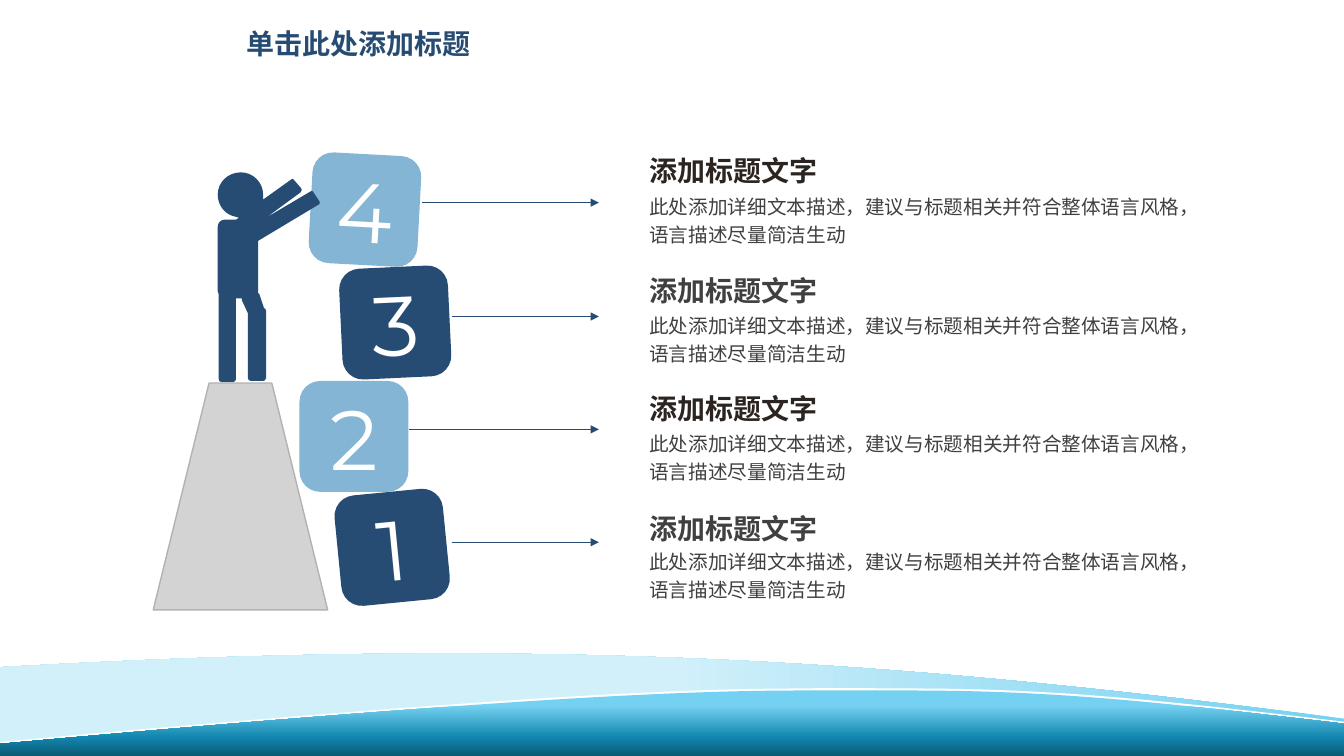
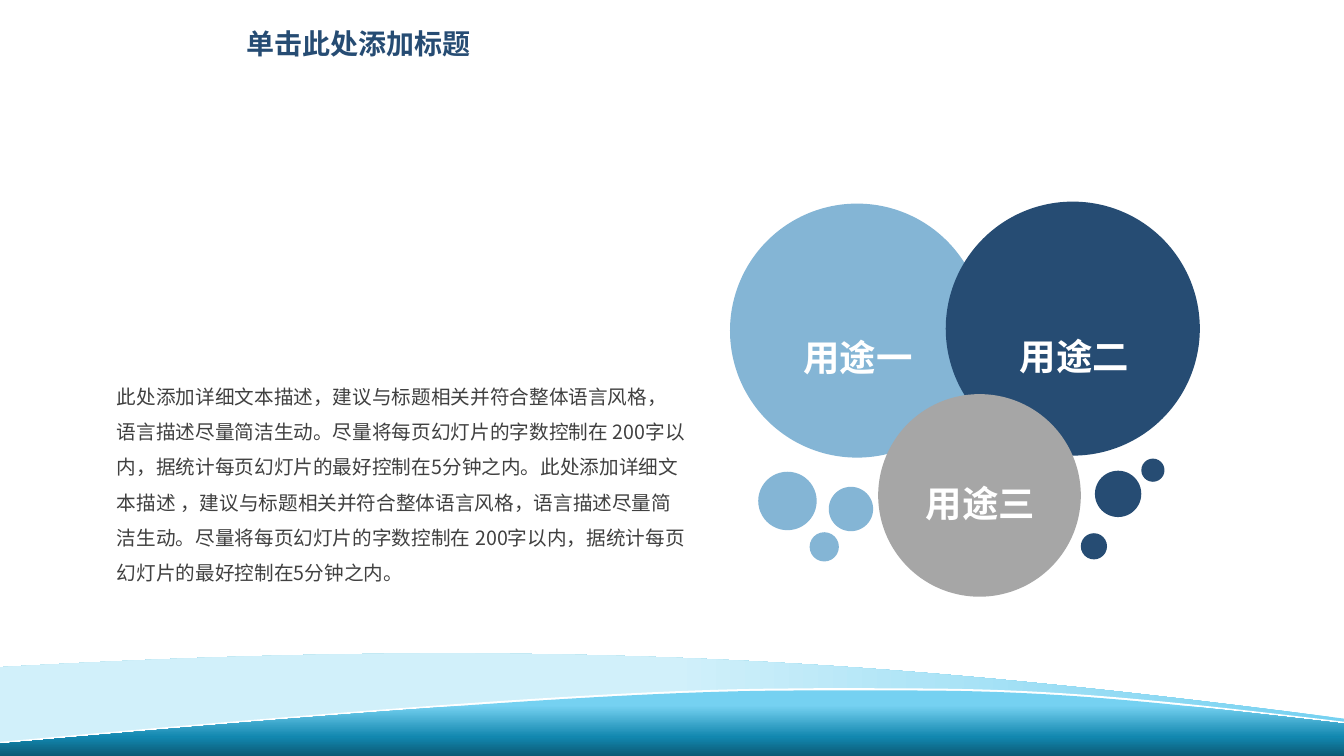
from dataclasses import dataclass

from lxml.etree import SubElement
from pptx import Presentation
from pptx.dml.color import RGBColor
from pptx.enum.shapes import MSO_CONNECTOR, MSO_SHAPE
from pptx.enum.text import MSO_ANCHOR, MSO_AUTO_SIZE, PP_ALIGN
from pptx.oxml.ns import qn
from pptx.util import Inches, Pt


@dataclass(frozen=True)
class Theme:
    navy: str = "264C73"
    sky: str = "84B5D5"
    grey: str = "A6A6A6"
    stand: str = "D3D3D3"
    stand_edge: str = "B2B2B2"
    white: str = "FFFFFF"
    ink: str = "2B2420"
    text: str = "404040"
    wave_pale: str = "D1F0FA"
    wave_light: str = "75D1F1"
    wave_mid: str = "1287AF"
    wave_deep: str = "0C5A75"
    title_font: str = "Arial"
    font: str = "Montserrat"
    cjk_font: str = "Noto Sans CJK SC"
    title_size: int = 20
    body_size: int = 14
    label_size: int = 26
    digit_size: int = 60


THEME = Theme()
WIDTH, HEIGHT = 13.33, 7.5

# Outlines: a start point, then lines (x, y) and curves (x1, y1, x2, y2, x, y)
WAVE_BACK = [(0, 6.62), (5.92, 6.28, 9.33, 6.62, WIDTH, 7.13),
             (WIDTH, 7.36, WIDTH, 7.09, WIDTH, 7.33),
             (8.72, 6.41, 4.83, 7.18, 0, 7.41), (0, 6.62)]
WAVE_EDGE = [(7.98, 6.83), (8.35, 6.82, 8.65, 6.83, 8.99, 6.83),
             (10.36, 6.83, 11.31, 6.92, WIDTH, 7.16), (WIDTH, 7.26),
             (11.31, 7.02, 10.36, 6.93, 8.99, 6.93),
             (8.65, 6.94, 8.35, 6.93, 7.98, 6.93),
             (6.88, 6.93, 5.19, 7, 0, 7.46), (0, 7.36),
             (5.19, 6.89, 6.88, 6.83, 7.98, 6.83)]
WAVE_FRONT = [(7.98, 6.85), (8.35, 6.85, 8.65, 6.85, 8.99, 6.85),
              (10.36, 6.85, 11.31, 6.94, WIDTH, 7.18), (WIDTH, HEIGHT),
              (0, HEIGHT), (0, 7.38), (5.19, 6.91, 6.88, 6.85, 7.98, 6.85)]
PERSON = [(2.39, 1.71), (2.51, 1.71, 2.61, 1.81, 2.61, 1.93),
          (2.61, 1.95, 2.61, 1.96, 2.61, 1.98),
          (2.89, 1.78), (2.9, 1.77, 2.91, 1.77, 2.92, 1.79), (2.99, 1.87),
          (3, 1.88, 2.99, 1.9, 2.98, 1.91), (2.64, 2.16), (3.08, 1.9),
          (3.09, 1.89, 3.11, 1.89, 3.11, 1.91), (3.17, 2),
          (3.18, 2.01, 3.17, 2.03, 3.16, 2.03), (2.56, 2.39), (2.56, 2.89),
          (2.56, 2.91), (2.57, 2.91), (2.62, 3.06), (2.63, 3.06),
          (2.63, 3.07, 2.64, 3.08, 2.64, 3.08),
          (2.64, 3.75), (2.64, 3.77, 2.62, 3.78, 2.61, 3.78), (2.49, 3.78),
          (2.47, 3.78, 2.46, 3.77, 2.46, 3.75), (2.46, 3.11), (2.4, 2.98),
          (2.4, 2.96), (2.34, 2.96), (2.34, 3.76),
          (2.34, 3.78, 2.33, 3.79, 2.31, 3.79), (2.2, 3.79),
          (2.18, 3.79, 2.17, 3.78, 2.17, 3.76), (2.17, 2.93), (2.17, 2.92),
          (2.16, 2.91, 2.16, 2.9, 2.16, 2.89), (2.16, 2.25),
          (2.16, 2.21, 2.19, 2.18, 2.23, 2.18), (2.34, 2.18), (2.37, 2.16),
          (2.3, 2.14), (2.22, 2.11, 2.16, 2.03, 2.16, 1.93),
          (2.16, 1.81, 2.26, 1.71, 2.39, 1.71)]

STEP_TEXT = "此处添加详细文本描述，建议与标题相关并符合整体语言风格，语言描述尽量简洁生动"
USE_TEXT = ("此处添加详细文本描述，建议与标题相关并符合整体语言风格，语言描述尽量简洁生动。"
            "尽量将每页幻灯片的字数控制在 200字以内，据统计每页幻灯片的最好控制在5分钟之内。"
            "此处添加详细文本描述 ，建议与标题相关并符合整体语言风格，语言描述尽量简洁生动。"
            "尽量将每页幻灯片的字数控制在 200字以内，据统计每页幻灯片的最好控制在5分钟之内。")


# Text
def write(frame, text, size, color, bold=False, font=THEME.font,
          align=PP_ALIGN.LEFT, spacing=1.0):
    para = frame.paragraphs[0]
    para.alignment = align
    para.line_spacing = spacing
    span = para.add_run()
    span.text = text
    span.font.size = Pt(size)
    span.font.bold = bold
    span.font.name = font
    span.font.color.rgb = RGBColor.from_string(color)
    SubElement(span._r.get_or_add_rPr(), qn("a:ea"), typeface=THEME.cjk_font)


def add_text(page, left, top, width, height, text, size, color,
             anchor=MSO_ANCHOR.TOP, **style):
    box = page.shapes.add_textbox(Inches(left), Inches(top),
                                  Inches(width), Inches(height))
    frame = box.text_frame
    frame.word_wrap = True
    frame.vertical_anchor = anchor
    frame.margin_left = frame.margin_right = 0
    frame.margin_top = frame.margin_bottom = 0
    write(frame, text, size, color, **style)


def add_title(page, text):
    title = page.shapes.title
    title.left, title.top = Inches(2.34), Inches(0.11)
    title.width, title.height = Inches(2.45), Inches(0.5)
    frame = title.text_frame
    frame.auto_size = MSO_AUTO_SIZE.NONE
    frame.word_wrap = False
    frame.vertical_anchor = MSO_ANCHOR.TOP
    write(frame, text, THEME.title_size, THEME.navy, bold=True,
          font=THEME.title_font, spacing=1.3)


# Shapes
def paint(shape, color, edge=None):
    shape.shadow.inherit = False
    shape.fill.solid()
    shape.fill.fore_color.rgb = RGBColor.from_string(color)
    if edge:
        shape.line.color.rgb = RGBColor.from_string(edge)
        shape.line.width = Pt(1)
    else:
        shape.line.fill.background()


def paint_gradient(shape, angle, stops):
    shape.fill.gradient()
    shape.fill.gradient_angle = angle
    stop_list = shape.element.spPr.find(qn("a:gradFill")).find(qn("a:gsLst"))
    stop_list.clear()
    for percent, color in stops:
        stop = SubElement(stop_list, qn("a:gs"), pos=str(percent * 1000))
        SubElement(stop, qn("a:srgbClr"), val=color)


def add_preset(page, kind, left, top, width, height, color, edge=None):
    shape = page.shapes.add_shape(kind, Inches(left), Inches(top),
                                  Inches(width), Inches(height))
    paint(shape, color, edge)
    return shape


def add_circle(page, left, top, size, color):
    add_preset(page, MSO_SHAPE.FLOWCHART_CONNECTOR, left, top, size, size, color)


def curve_points(start, curve, count=40):
    """Points along a cubic curve, without its start."""
    knots = [start, curve[:2], curve[2:4], curve[4:]]
    for i in range(1, count + 1):
        t = i / count
        weights = ((1 - t) ** 3, 3 * t * (1 - t) ** 2, 3 * t * t * (1 - t), t ** 3)
        yield tuple(sum(w * knot[axis] for w, knot in zip(weights, knots))
                    for axis in (0, 1))


def outline_bounds(outline):
    points = outline[:1]
    for step in outline[1:]:
        points.extend([step] if len(step) == 2 else curve_points(points[-1], step))
    xs, ys = zip(*points)
    return [Inches(edge) for edge in (min(xs), min(ys), max(xs), max(ys))]


def add_outline(page, outline, color):
    """Freeform spanning the outline's bounds, drawn with true curves."""
    left, top, right, bottom = outline_bounds(outline)
    builder = page.shapes.build_freeform(left, top, scale=1.0)
    builder.add_line_segments([(right, top), (right, bottom)])
    shape = builder.convert_to_shape()
    geometry = next(shape.element.spPr.iter(qn("a:path")))
    for segment in list(geometry):
        geometry.remove(segment)
    for index, step in enumerate(outline):
        tag = "a:moveTo" if index == 0 else "a:lnTo"
        segment = SubElement(geometry, qn(tag if len(step) == 2 else "a:cubicBezTo"))
        for x, y in zip(step[::2], step[1::2]):
            SubElement(segment, qn("a:pt"), x=str(Inches(x) - left),
                       y=str(Inches(y) - top))
    SubElement(geometry, qn("a:close"))
    paint(shape, color)
    return shape


def add_arrow(page, left, right, y):
    arrow = page.shapes.add_connector(MSO_CONNECTOR.STRAIGHT, Inches(left),
                                      Inches(y), Inches(right), Inches(y))
    arrow.line.color.rgb = RGBColor.from_string(THEME.navy)
    arrow.line.width = Pt(0.5)
    props = arrow.element.spPr
    SubElement(props.find(qn("a:ln")), qn("a:tailEnd"), type="triangle")
    SubElement(props, qn("a:effectLst"))


def add_block(page, digit, left, top, rotation, color):
    block = add_preset(page, MSO_SHAPE.ROUNDED_RECTANGLE, left, top, 1.08, 1.1, color)
    block.adjustments[0] = 0.19
    block.rotation = rotation
    block.text_frame.vertical_anchor = MSO_ANCHOR.MIDDLE
    write(block.text_frame, digit, THEME.digit_size, THEME.white,
          align=PP_ALIGN.CENTER)


def add_label(page, text, left, top, width, color, align):
    label = add_preset(page, MSO_SHAPE.RECTANGLE, left, top, width, 0.54, color)
    label.text_frame.word_wrap = True
    label.text_frame.vertical_anchor = MSO_ANCHOR.MIDDLE
    write(label.text_frame, text, THEME.label_size, THEME.white, bold=True,
          align=align)


# Waves shared through the slide master
def add_waves(deck, page):
    back = add_outline(page, WAVE_BACK, THEME.wave_pale)
    paint_gradient(back, 180, [(0, THEME.wave_light), (50, THEME.wave_pale),
                               (100, THEME.wave_pale)])
    edge = add_outline(page, WAVE_EDGE, THEME.white)
    front = add_outline(page, WAVE_FRONT, THEME.wave_mid)
    paint_gradient(front, 270, [(23, THEME.wave_light), (71, THEME.wave_mid),
                                (100, THEME.wave_deep)])
    master_tree = deck.slide_master.shapes.element
    for position, wave in enumerate((back, edge, front), start=2):
        master_tree.insert(position, wave.element)


# Slides
def build_steps(page):
    add_title(page, "单击此处添加标题")
    # Digit, block place and rotation, arrow start, heading and detail tops
    steps = [("4", 3.08, 1.53, 3.1, 4.19, 2.01, 1.39, 1.89),
             ("3", 3.38, 2.65, 357.3, 4.48, 3.14, 2.58, 3.07),
             ("2", 2.97, 3.78, 0, 4.06, 4.26, 3.75, 4.24),
             ("1", 3.35, 4.88, 354.4, 4.48, 5.38, 4.94, 5.41)]
    for row, step in enumerate(steps):
        digit, left, top, rotation, arrow_left, arrow_y, head_top, detail_top = step
        light = row % 2 == 0
        add_block(page, digit, left, top, rotation,
                  THEME.sky if light else THEME.navy)
        add_arrow(page, arrow_left, 5.94, arrow_y)
        add_text(page, 6.44, detail_top, 5.36, 0.6, STEP_TEXT,
                 THEME.body_size, THEME.text, spacing=1.2)
        add_text(page, 6.44, head_top, 3.51, 0.5, "添加标题文字",
                 THEME.title_size, THEME.ink if light else THEME.text,
                 anchor=MSO_ANCHOR.MIDDLE, bold=True, spacing=1.3)
    # Figure on its stand
    add_outline(page, PERSON, THEME.navy)
    stand = add_preset(page, MSO_SHAPE.TRAPEZOID, 1.52, 3.8, 1.73, 2.25,
                       THEME.stand, THEME.stand_edge)
    stand.adjustments[0] = 0.32


def build_uses(page):
    add_title(page, "单击此处添加标题")
    # Large circles, each with its label band
    uses = [(7.24, 2.02, 2.52, THEME.sky, "用途一", 7.87, 3.27, 1.45, PP_ALIGN.LEFT),
            (9.38, 2, 2.52, THEME.navy, "用途二", 9.73, 3.26, 1.85, PP_ALIGN.CENTER),
            (8.71, 3.91, 2.01, THEME.grey, "用途三", 8.8, 4.72, 1.85, PP_ALIGN.CENTER)]
    for left, top, size, color, label, label_left, label_top, width, align in uses:
        add_circle(page, left, top, size, color)
        add_label(page, label, label_left, label_top, width, color, align)
    # Small bubbles
    bubbles = [(10.72, 5.29, 0.26, THEME.navy), (11.32, 4.55, 0.23, THEME.navy),
               (8.03, 5.28, 0.29, THEME.sky), (7.52, 4.68, 0.58, THEME.sky),
               (8.22, 4.83, 0.44, THEME.sky), (10.86, 4.67, 0.46, THEME.navy)]
    for bubble in bubbles:
        add_circle(page, *bubble)
    add_text(page, 1.16, 3.7, 5.65, 2.49, USE_TEXT, THEME.body_size, THEME.text,
             font=THEME.cjk_font, spacing=1.5)


def main():
    deck = Presentation()
    deck.slide_width, deck.slide_height = Inches(WIDTH), Inches(HEIGHT)
    title_only = deck.slide_layouts[5]
    steps_page = deck.slides.add_slide(title_only)
    add_waves(deck, steps_page)
    build_steps(steps_page)
    build_uses(deck.slides.add_slide(title_only))
    deck.save("out.pptx")


if __name__ == "__main__":
    main()
